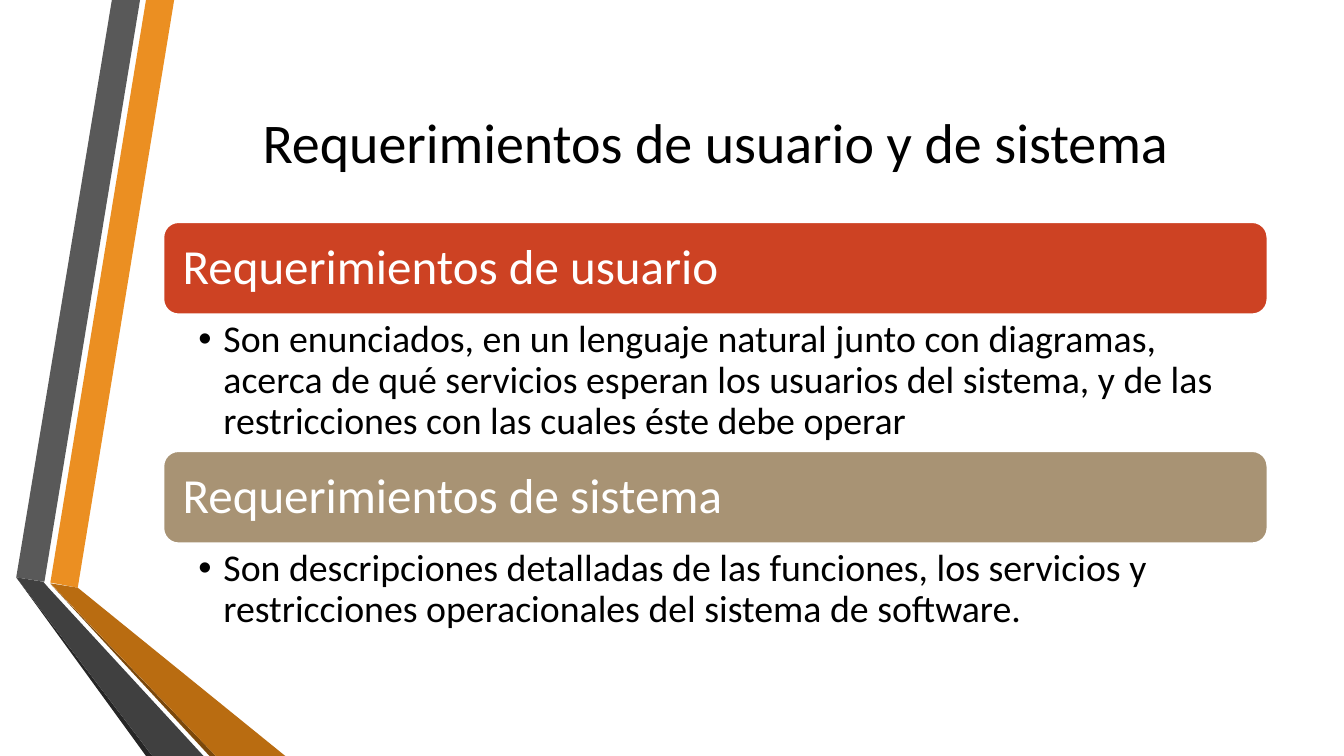
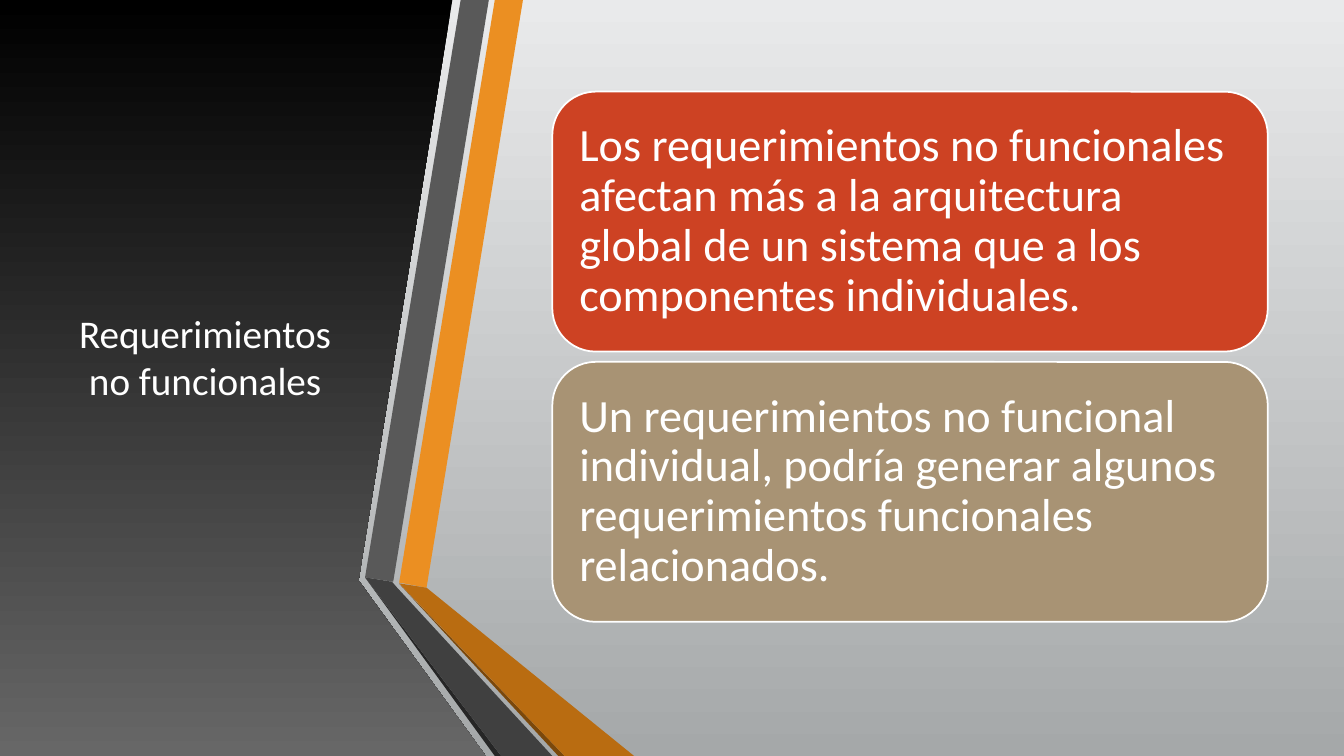
from pptx import Presentation
from pptx.dml.color import RGBColor
from pptx.enum.shapes import MSO_SHAPE
from pptx.enum.text import MSO_ANCHOR, MSO_AUTO_SIZE, PP_ALIGN
from pptx.util import Cm, Pt

FONT = "Calibri"
WHITE, BLACK = "FFFFFF", "000000"
RED, TAN = "CD4223", "A89374"
SLIDE_W, SLIDE_H = 33.87, 19.05
TITLE_ONLY, TWO_CONTENT = 5, 3

RIBBON = [
    ("EB8F22", [(1.27, 14.68), (1.96, 14.81), (4.39, 0), (3.68, 0)]),
    ("595959", [(3.53, 0), (2.82, 0), (0.41, 14.55), (1.12, 14.66)]),
    ("262626", [(0.41, 14.55), (3.68, SLIDE_H), (3.84, SLIDE_H)]),
    ("7B480B", [(1.27, 14.71), (5.28, SLIDE_H), (5.44, SLIDE_H)]),
    ("B96C11", [(1.27, 14.7), (5.44, SLIDE_H), (7.19, SLIDE_H), (1.96, 14.81)]),
    ("404040", [(5.13, SLIDE_H), (1.22, 14.81), (1.09, 14.66), (0.41, 14.55),
                (3.84, SLIDE_H)]),
]
PANEL = [(8.97, 0), (11.4, 0), (9.04, 14.61), (9.04, 14.63), (12.24, SLIDE_H),
         (0, SLIDE_H), (0, 0)]

REQUIREMENTS = [
    ("Requerimientos de usuario", RED, 3.43,
     "Son enunciados, en un lenguaje natural junto con diagramas, acerca de qué "
     "servicios esperan los usuarios del sistema, y de las restricciones con las "
     "cuales éste debe operar"),
    ("Requerimientos de sistema", TAN, 2.36,
     "Son descripciones detalladas de las funciones, los servicios y restricciones "
     "operacionales del sistema de software."),
]
NON_FUNCTIONAL = [
    ("Los requerimientos no funcionales afectan más a la arquitectura global de un "
     "sistema que a los componentes individuales.", RED),
    ("Un requerimientos no funcional individual, podría generar algunos "
     "requerimientos funcionales relacionados.", TAN),
]


def rgb(color):
    """Turn a hex string into a colour."""
    return RGBColor.from_string(color)


def paint(fill, *colors):
    """Fill with one colour, or with two running from top to bottom."""
    if len(colors) == 1:
        fill.solid()
        fill.fore_color.rgb = rgb(colors[0])
        return
    fill.gradient()
    fill.gradient_angle = 270
    for stop, color in zip(fill.gradient_stops, colors):
        stop.color.rgb = rgb(color)


def place(sp, left, top, width, height):
    """Move and size a shape, in centimetres."""
    sp.left, sp.top, sp.width, sp.height = map(Cm, (left, top, width, height))


def write(sp, text, size, color=WHITE, align=PP_ALIGN.LEFT,
          anchor=MSO_ANCHOR.MIDDLE, insets=(0.25, 0.13, 0.25, 0.13), spacing=0.9):
    """Put one formatted paragraph in a shape and return it."""
    tf = sp.text_frame
    tf.word_wrap = True
    tf.auto_size = MSO_AUTO_SIZE.NONE
    tf.vertical_anchor = anchor
    tf.margin_left, tf.margin_top, tf.margin_right, tf.margin_bottom = map(Cm, insets)
    p = tf.paragraphs[0]
    p.alignment = align
    p.line_spacing = spacing
    p.space_before = Pt(0)
    r = p.add_run()
    r.text = text
    r.font.name = FONT
    r.font.size = Pt(size)
    r.font.color.rgb = rgb(color)
    return p


def add_outline(s, points, *colors):
    """Draw a closed outline without a border."""
    corners = [(Cm(x), Cm(y)) for x, y in points]
    builder = s.shapes.build_freeform(*corners[0])
    builder.add_line_segments(corners[1:], close=True)
    sp = builder.convert_to_shape()
    sp.shadow.inherit = False
    paint(sp.fill, *colors)
    sp.line.fill.background()


def add_ribbon(s, shift=0):
    """Draw the folded ribbon, moved right by shift."""
    for color, points in RIBBON:
        add_outline(s, [(x + shift, y) for x, y in points], color)


def add_box(s, box, text, color, size, inset, border):
    """Draw a rounded box with white text."""
    sp = s.shapes.add_shape(MSO_SHAPE.ROUNDED_RECTANGLE, *map(Cm, box))
    sp.shadow.inherit = False
    paint(sp.fill, color)
    sp.line.color.rgb = rgb(WHITE)
    sp.line.width = Pt(border)
    write(sp, text, size, insets=(inset,) * 4)


def set_title(s, box, text, size, color):
    """Fill the title placeholder and bring it to the front."""
    sp = s.shapes.title
    place(sp, *box)
    write(sp, text, size, color, align=PP_ALIGN.CENTER, spacing=1.0)
    sp.element.getparent().append(sp.element)


def set_bullet(sp, box, text):
    """Fill a body placeholder with one bulleted paragraph."""
    place(sp, *box)
    p = write(sp, text, 27, BLACK, anchor=MSO_ANCHOR.TOP,
              insets=(0.89, 0.13, 0.69, 0.13))
    pPr = p._p.get_or_add_pPr()
    pPr.set("marL", str(Cm(0.63)))
    pPr.set("indent", str(-Cm(0.63)))


def add_user_and_system(prs):
    """Build the slide on user and system requirements."""
    s = prs.slides.add_slide(prs.slide_layouts[TWO_CONTENT])
    left, top, width, bar_h = 4.11, 5.59, 27.84, 2.34
    paint(s.background.fill, WHITE)
    add_ribbon(s)
    set_title(s, (left, 1.9, width, 3.3), "Requerimientos de usuario y de sistema",
              40, BLACK)
    for idx, (heading, color, body_h, text) in enumerate(REQUIREMENTS, 1):
        add_box(s, (left, top, width, bar_h), heading, color, 35, 0.38, 1.75)
        set_bullet(s.placeholders[idx], (left, top + bar_h, width, body_h), text)
        top += bar_h + body_h


def add_non_functional(prs):
    """Build the slide on non-functional requirements."""
    s = prs.slides.add_slide(prs.slide_layouts[TITLE_ONLY])
    top, box_h, gap = 2.31, 6.55, 0.26
    paint(s.background.fill, "E9EAEB", "A5A8A9")
    add_outline(s, PANEL, BLACK, "676767")
    add_ribbon(s, 8.79)
    set_title(s, (1.5, 1.9, 7.34, 14.17), "Requerimientos no funcionales", 28, WHITE)
    for i, (text, color) in enumerate(NON_FUNCTIONAL):
        add_box(s, (13.92, top + i * (box_h + gap), 18.03, box_h), text, color,
                33, 0.36, 1.25)


def main():
    """Build and save the presentation."""
    prs = Presentation()
    prs.slide_width, prs.slide_height = Cm(SLIDE_W), Cm(SLIDE_H)
    add_user_and_system(prs)
    add_non_functional(prs)
    prs.save("out.pptx")


if __name__ == "__main__":
    main()
